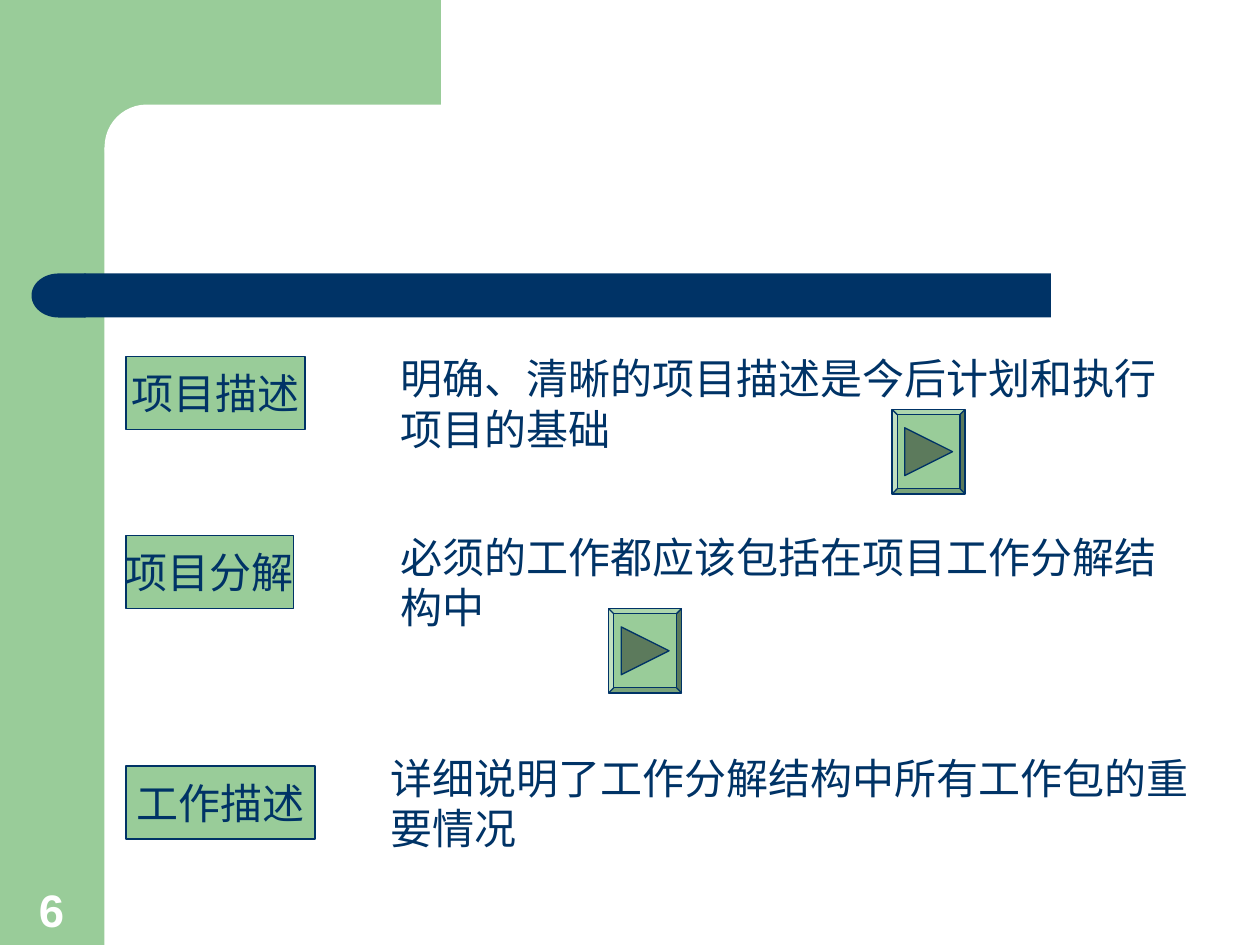
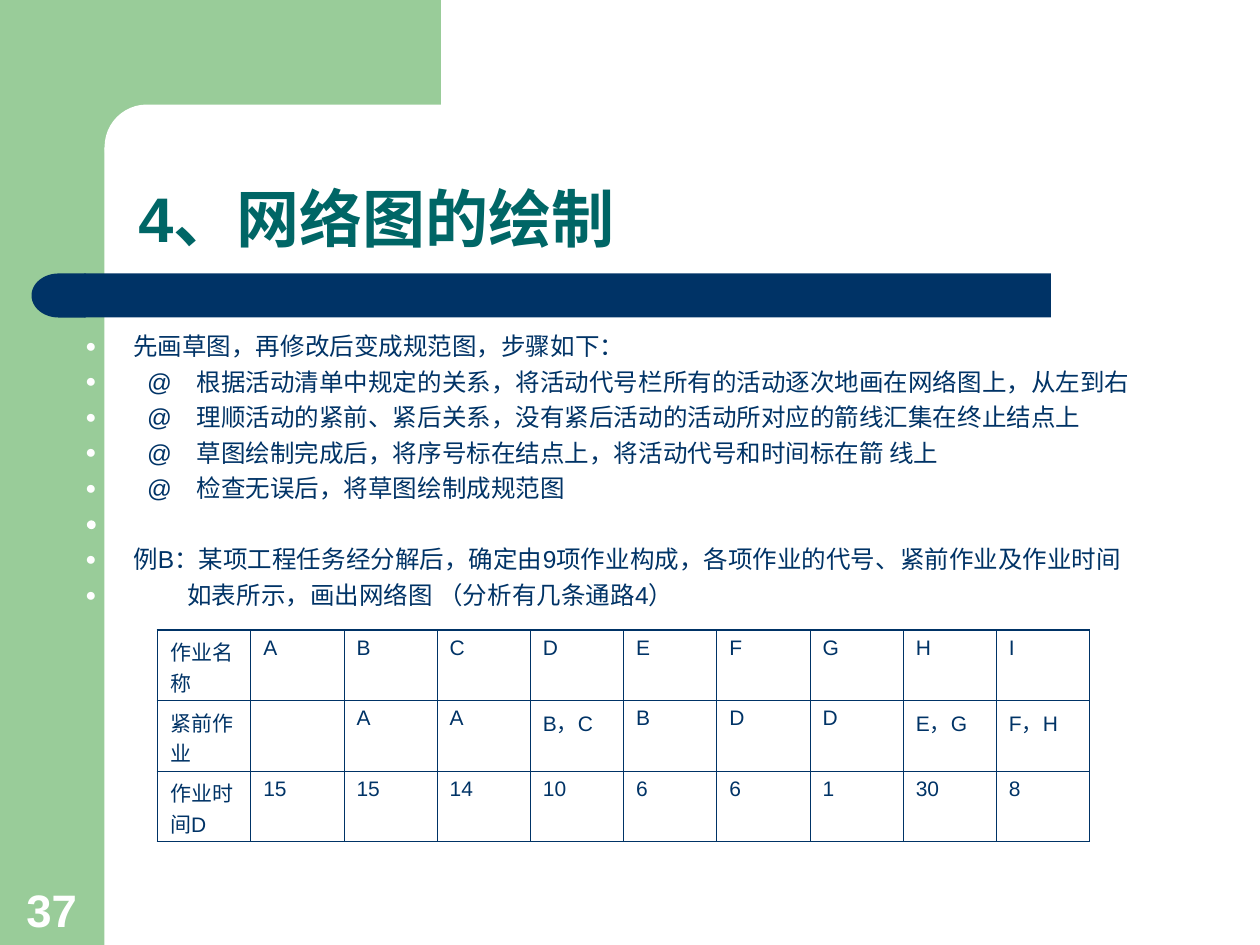
from dataclasses import dataclass

from lxml import etree
from pptx import Presentation
from pptx.dml.color import RGBColor
from pptx.enum.shapes import MSO_SHAPE as Preset
from pptx.enum.text import MSO_ANCHOR as Anchor, PP_ALIGN as Align
from pptx.oxml.ns import qn
from pptx.util import Inches, Pt


@dataclass(frozen=True)
class Theme:
    green: str = "99CC99"
    dark_green: str = "5C7A5C"
    navy: str = "003366"
    teal: str = "006666"
    white: str = "FFFFFF"
    sans: str = "Arial"
    serif: str = "Times New Roman"
    title_size: float = 36
    number_size: float = 26
    label_size: float = 24
    body_size: float = 14
    table_size: float = 12
    outline: float = 0.75
    frame: float = 1.08
    grid: float = 0.45


THEME = Theme()

TITLE_FORMAT = dict(name=THEME.sans, size=THEME.title_size, color=THEME.teal, bold=True)
NUMBER_FORMAT = dict(name=THEME.sans, size=THEME.number_size, color=THEME.white, bold=True)
LABEL_FORMAT = dict(name=THEME.serif, size=THEME.label_size, color=THEME.navy)
BODY_FORMAT = dict(name=THEME.sans, size=THEME.body_size, color=THEME.navy)
TABLE_FORMAT = dict(name=THEME.sans, size=THEME.table_size, color=THEME.navy)

# Label, label box, description, description box
TOPICS = [
    ("项目描述", (1, 2.83, 1.42, 0.58),
     "明确、清晰的项目描述是今后计划和执行项目的基础", (3.08, 2.75, 6.5, 0.9)),
    ("项目分解", (1, 4.25, 1.33, 0.58),
     "必须的工作都应该包括在项目工作分解结构中", (3.08, 4.17, 6.5, 0.9)),
    ("工作描述", (1, 6.08, 1.5, 0.58),
     "详细说明了工作分解结构中所有工作包的重要情况", (3, 5.92, 6.67, 0.9)),
]
PLAY_BUTTONS = [(7.08, 3.25), (4.83, 4.83)]

# Text, left margin in inches, space before in points
STEPS = [
    ("先画草图，再修改后变成规范图，步骤如下：", 0.38, 0),
    ("@　根据活动清单中规定的关系，将活动代号栏所有的活动逐次地画在网络图上，从左到右", 0.49, 3.5),
    ("@　理顺活动的紧前、紧后关系，没有紧后活动的活动所对应的箭线汇集在终止结点上", 0.49, 3.5),
    ("@　草图绘制完成后，将序号标在结点上，将活动代号和时间标在箭 线上", 0.49, 3.5),
    ("@　检查无误后，将草图绘制成规范图", 0.49, 3.5),
    ("例B：某项工程任务经分解后，确定由9项作业构成，各项作业的代号、紧前作业及作业时间", 0.38, 23.8),
    ("如表所示，画出网络图 （分析有几条通路4）", 0.81, 3.5),
]

ACTIVITIES = [
    ["作业名称", *"ABCDEFGHI"],
    ["紧前作业", "", "A", "A", "B，C", "B", "D", "D", "E，G", "F，H"],
    ["作业时间D", "15", "15", "14", "10", "6", "6", "1", "30", "8"],
]


def inches(box):
    return [Inches(value) for value in box]


def format_run(run, values):
    for name, value in values.items():
        if name == "color":
            run.font.color.rgb = RGBColor.from_string(value)
        else:
            setattr(run.font, name, Pt(value) if name == "size" else value)


def write(paragraph, text, values, align=Align.LEFT):
    paragraph.alignment = align
    run = paragraph.add_run()
    run.text = text
    format_run(run, values)


def add_panel(slide, preset, box, fill, line=None):
    shape = slide.shapes.add_shape(preset, *inches(box))
    shape.shadow.inherit = False
    shape.fill.solid()
    shape.fill.fore_color.rgb = RGBColor.from_string(fill)
    if line:
        shape.line.color.rgb = RGBColor.from_string(line)
        shape.line.width = Pt(THEME.outline)
    else:
        shape.line.fill.background()
    return shape


def add_text(slide, box, text, values, anchor=Anchor.TOP, align=Align.LEFT):
    frame = slide.shapes.add_textbox(*inches(box)).text_frame
    frame.word_wrap = True
    frame.vertical_anchor = anchor
    write(frame.paragraphs[0], text, values, align)
    return frame


def add_label(slide, text, box):
    frame = add_panel(slide, Preset.RECTANGLE, box, THEME.green, THEME.navy).text_frame
    frame.word_wrap = False
    frame.vertical_anchor = Anchor.MIDDLE
    write(frame.paragraphs[0], text, LABEL_FORMAT, Align.CENTER)


def add_play_button(slide, left, top):
    width, height, side = 0.58, 0.67, 0.38
    bevel = add_panel(slide, Preset.BEVEL, (left, top, width, height), THEME.green, THEME.navy)
    bevel.adjustments[0] = 0.07
    arrow_box = (left + (width - side) / 2, top + (height - side) / 2, side, side)
    arrow = add_panel(slide, Preset.ISOSCELES_TRIANGLE, arrow_box, THEME.dark_green, THEME.navy)
    arrow.rotation = 90


def add_bullet(paragraph, margin):
    properties = paragraph._p.get_or_add_pPr()
    properties.set("marL", str(Inches(margin)))
    properties.set("indent", str(-Inches(margin)))
    color = etree.SubElement(properties, qn("a:buClr"))
    etree.SubElement(color, qn("a:srgbClr"), val=THEME.white)
    etree.SubElement(properties, qn("a:buSzPct"), val="75000")
    etree.SubElement(properties, qn("a:buFont"), typeface=THEME.sans)
    etree.SubElement(properties, qn("a:buChar"), char="●")


def add_steps(slide, box):
    frame = slide.shapes.add_textbox(*inches(box)).text_frame
    frame.word_wrap = True
    for index, (text, margin, space) in enumerate(STEPS):
        paragraph = frame.add_paragraph() if index else frame.paragraphs[0]
        add_bullet(paragraph, margin)
        if space:
            paragraph.space_before = Pt(space)
        write(paragraph, text, BODY_FORMAT)


def set_borders(cell, widths):
    properties = cell._tc.get_or_add_tcPr()
    for side, width in widths.items():
        line = etree.SubElement(properties, qn(f"a:ln{side}"), w=str(Pt(width)))
        fill = etree.SubElement(line, qn("a:solidFill"))
        etree.SubElement(fill, qn("a:srgbClr"), val=THEME.navy)


def add_activity_table(slide, left, top, column_width, row_height):
    rows, columns = len(ACTIVITIES), len(ACTIVITIES[0])
    box = (left, top, column_width * columns, row_height * rows)
    table = slide.shapes.add_table(rows, columns, *inches(box)).table
    table.first_row = table.horz_banding = False
    for row, texts in enumerate(ACTIVITIES):
        for column, text in enumerate(texts):
            cell = table.cell(row, column)
            on_frame = {"L": column == 0, "R": column == columns - 1,
                        "T": row == 0, "B": row == rows - 1}
            set_borders(cell, {side: THEME.frame if outer else THEME.grid
                               for side, outer in on_frame.items()})
            cell.fill.background()
            if text:
                write(cell.text_frame.paragraphs[0], text, TABLE_FORMAT)


def add_base_slide(presentation, number):
    slide = presentation.slides.add_slide(presentation.slide_layouts[6])
    # Green corner with a rounded white cut-out
    add_panel(slide, Preset.RECTANGLE, (0, 0, 0.83, 7.5), THEME.green)
    add_panel(slide, Preset.RECTANGLE, (0.75, 0, 2.75, 1.17), THEME.green)
    cutout = add_panel(slide, Preset.ROUNDED_RECTANGLE, (0.83, 0.83, 5.58, 0.67), THEME.white)
    cutout.adjustments[0] = 0.5
    # Navy bar with a round left end
    add_panel(slide, Preset.RECTANGLE, (0.67, 2.17, 7.67, 0.35), THEME.navy)
    bar_end = add_panel(slide, Preset.FLOWCHART_DELAY, (0.25, 2.17, 0.43, 0.35), THEME.navy)
    bar_end.rotation = 180
    # Slide number
    add_text(slide, (0.09, 6.94, 0.64, 0.54), str(number), NUMBER_FORMAT,
             Anchor.BOTTOM, Align.CENTER)
    return slide


def build_topics_slide(presentation):
    slide = add_base_slide(presentation, 6)
    for label, label_box, description, description_box in TOPICS:
        add_label(slide, label, label_box)
        add_text(slide, description_box, description, LABEL_FORMAT)
    for left, top in PLAY_BUTTONS:
        add_play_button(slide, left, top)


def build_network_slide(presentation):
    slide = add_base_slide(presentation, 37)
    title = add_text(slide, (1, 0.83, 8.75, 1.25), "4、网络图的绘制", TITLE_FORMAT, Anchor.BOTTOM)
    title.paragraphs[0].line_spacing = 0.9
    add_steps(slide, (0.58, 2.58, 9.17, 4.08))
    # Lone bullet between the steps and the example
    add_panel(slide, Preset.OVAL, (0.69, 4.13, 0.07, 0.07), THEME.white)
    add_activity_table(slide, 1.25, 5, 0.74, 0.56)


def main():
    presentation = Presentation()
    presentation.slide_width = Inches(10)
    presentation.slide_height = Inches(7.5)
    build_topics_slide(presentation)
    build_network_slide(presentation)
    presentation.save("out.pptx")


if __name__ == "__main__":
    main()
